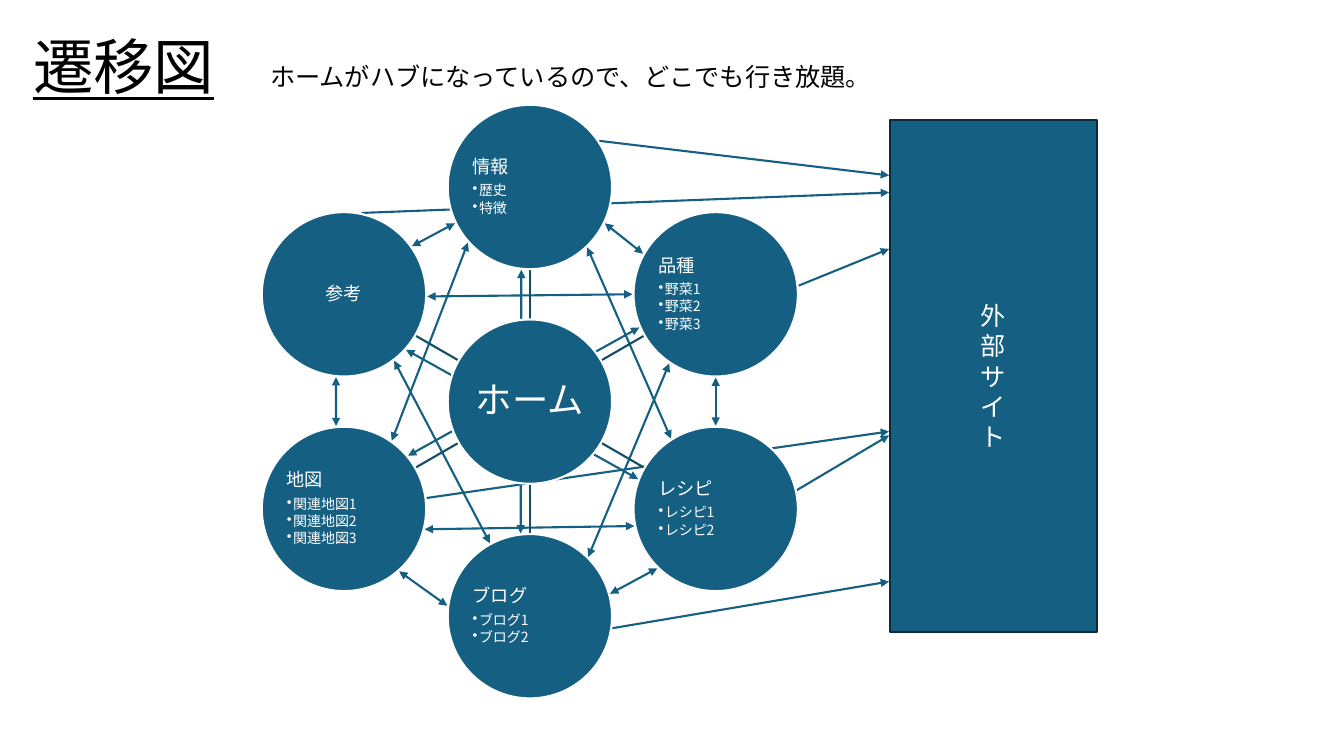
"""Build a site transition diagram: a home hub, six pages around it and an external site."""
from dataclasses import dataclass
from math import cos, dist, radians, sin

from lxml import etree
from pptx import Presentation
from pptx.dml.color import RGBColor
from pptx.enum import shapes, text
from pptx.oxml import ns
from pptx.util import Pt


@dataclass(frozen=True)
class Theme:
    font: str = "Noto Sans CJK JP"
    ink: RGBColor = RGBColor(0, 0, 0)
    paper: RGBColor = RGBColor(255, 255, 255)
    teal: RGBColor = RGBColor.from_string("156082")
    spoke: RGBColor = RGBColor.from_string("114D68")
    border: RGBColor = RGBColor.from_string("092A39")
    title: float = 43.2
    hub: float = 26
    body: float = 18
    page: float = 13
    item: float = 10
    line: float = 1.5


theme = Theme()
LEFT, CENTER = text.PP_ALIGN.LEFT, text.PP_ALIGN.CENTER
TOP, MIDDLE, BOTTOM = (
    text.MSO_ANCHOR.TOP, text.MSO_ANCHOR.MIDDLE, text.MSO_ANCHOR.BOTTOM)
HEADING = {"line_spacing": 0.9, "space_after": Pt(4.55)}
ITEM = {"line_spacing": 0.9, "space_after": Pt(1.5), "alignment": LEFT}


def write(shape, lines, color, frame_format):
    """Fill a shape with (text, size, paragraph format, bulleted) lines."""
    frame = shape.text_frame
    for name, value in {"word_wrap": True, **frame_format}.items():
        setattr(frame, name, value)
    for index, (words, size, paragraph_format, bulleted) in enumerate(lines):
        paragraph = frame.paragraphs[0] if index == 0 else frame.add_paragraph()
        for name, value in paragraph_format.items():
            setattr(paragraph, name, value)
        run = paragraph.add_run()
        run.text = words
        for name, value in {"name": theme.font, "size": Pt(size)}.items():
            setattr(run.font, name, value)
        run.font.color.rgb = color
        etree.SubElement(run.font._element, ns.qn("a:ea"), typeface=theme.font)
        if bulleted:
            properties = paragraph._p.get_or_add_pPr()
            properties.set("marL", str(Pt(4.5)))
            properties.set("indent", str(-Pt(4.5)))
            etree.SubElement(properties, ns.qn("a:buChar"), char="•")


def draw_line(ends, color, arrowheads=()):
    """Draw a straight line with arrowheads at the named ends."""
    connector = slide.shapes.add_connector(
        shapes.MSO_CONNECTOR.STRAIGHT, *(Pt(value) for value in ends))
    connector.line.color.rgb = color
    connector.line.width = Pt(theme.line)
    for end in arrowheads:
        etree.SubElement(connector.line._get_or_add_ln(), ns.qn(end), type="triangle")
    etree.SubElement(connector._element.spPr, ns.qn("a:effectLst"))


presentation = Presentation()
presentation.slide_width, presentation.slide_height = Pt(960), Pt(540)
slide = presentation.slides.add_slide(presentation.slide_layouts[6])

hub_x, hub_y, ring, radius = 378.5, 286.9, 153.3, 58.7
rim = radius + theme.line / 2
site_left, site_top, site_width, site_height = 635.8, 85.7, 147.6, 365.8
site_edge = site_left - theme.line / 2
directions = [(cos(radians(turn)), sin(radians(turn))) for turn in range(-90, 270, 60)]
page_centers = [(hub_x + ring * across, hub_y + ring * down)
                for across, down in directions]

two_way_links = [
    (296.6, 174.2, 322.6, 160.6),
    (438.5, 423.4, 465.1, 410.4),
    (239.8, 271.4, 239.8, 301.7),
    (511.2, 301.7, 511.2, 271.4),
    (313.9, 432, 291.6, 415.4),
    (434.2, 160.6, 457.2, 180),
    (285.1, 307.4, 334.8, 172.8),
    (419.8, 177.1, 478.8, 312.5),
    (371.5, 377.3, 371.5, 201.6),
    (291.6, 325.4, 456.5, 234),
    (311.8, 380.2, 445.7, 377.3),
    (284.4, 261.4, 349.2, 386.6),
    (302.4, 211.7, 449.3, 210.2),
    (424.1, 393.8, 477.4, 260.6),
    (291.6, 251.3, 453.6, 341.3),
]
external_links = [
    (438.5, 93.6, site_edge, 125.3),
    (260.6, 141.1, site_edge, 137.5),
    (573.1, 203.8, site_edge, 177.8),
    (436.3, 448.6, site_edge, 415.4),
    (573.1, 349.2, site_edge, 311),
    (310.3, 355, site_edge, 308.2),
]
for links, arrowheads in (
    (two_way_links, ("a:headEnd", "a:tailEnd")),
    (external_links, ("a:tailEnd",)),
):
    for link in links:
        ends = []
        for point in (link[:2], link[2:]):
            if point[0] < site_edge:
                center = min(page_centers, key=lambda page: dist(page, point))
                scale = rim / dist(center, point)
                point = [c + scale * (p - c) for c, p in zip(center, point)]
            ends += point
        draw_line(ends, theme.teal, arrowheads)

title = slide.shapes.add_textbox(Pt(16.5), Pt(22.3), Pt(183.6), Pt(54.7))
write(title, [("遷移図", theme.title, {"line_spacing": 0.9}, False)], theme.ink,
      {"vertical_anchor": BOTTOM})
title.text_frame.paragraphs[0].runs[0].font.underline = True

for across, down in directions:
    draw_line([start + distance * step for distance in (radius, ring - radius)
               for start, step in ((hub_x, across), (hub_y, down))], theme.spoke)

pages = [
    ("情報", ["歴史", "特徴"]),
    ("品種", ["野菜1", "野菜2", "野菜3"]),
    ("レシピ", ["レシピ1", "レシピ2"]),
    ("ブログ", ["ブログ1", "ブログ2"]),
    ("地図", ["関連地図1", "関連地図2", "関連地図3"]),
    ("参考", []),
]
circles = [((hub_x, hub_y), "ホーム", theme.hub, [])]
circles += [(center, name, theme.page, items)
            for center, (name, items) in zip(page_centers, pages)]
for (x, y), name, size, items in circles:
    circle = slide.shapes.add_shape(
        shapes.MSO_SHAPE.OVAL, Pt(x - radius), Pt(y - radius),
        Pt(2 * radius), Pt(2 * radius))
    circle.shadow.inherit = False
    circle.fill.solid()
    circle.fill.fore_color.rgb = theme.teal
    circle.line.color.rgb = theme.paper
    circle.line.width = Pt(theme.line)
    heading = {**HEADING, "alignment": LEFT if items else CENTER}
    lines = [(name, size, heading, False)]
    lines += [(item, theme.item, ITEM, True) for item in items]
    margins = {f"margin_{side}": Pt(0.7) for side in ("left", "top", "right", "bottom")}
    write(circle, lines, theme.paper, {"vertical_anchor": MIDDLE, **margins})

external_site = slide.shapes.add_shape(
    shapes.MSO_SHAPE.RECTANGLE,
    Pt(site_left), Pt(site_top), Pt(site_width), Pt(site_height))
external_site.shadow.inherit = False
external_site.fill.solid()
external_site.fill.fore_color.rgb = theme.teal
external_site.line.color.rgb = theme.border
external_site.line.width = Pt(theme.line)
write(external_site,
      [(letter, theme.body, {"alignment": CENTER}, False) for letter in "外部サイト"],
      theme.paper, {"vertical_anchor": MIDDLE})

summary = slide.shapes.add_textbox(Pt(185.8), Pt(40.3), Pt(602.6), Pt(28.8))
write(summary,
      [("ホームがハブになっているので、どこでも行き放題。", theme.body, {}, False)],
      theme.ink, {"vertical_anchor": TOP})

presentation.save("out.pptx")
